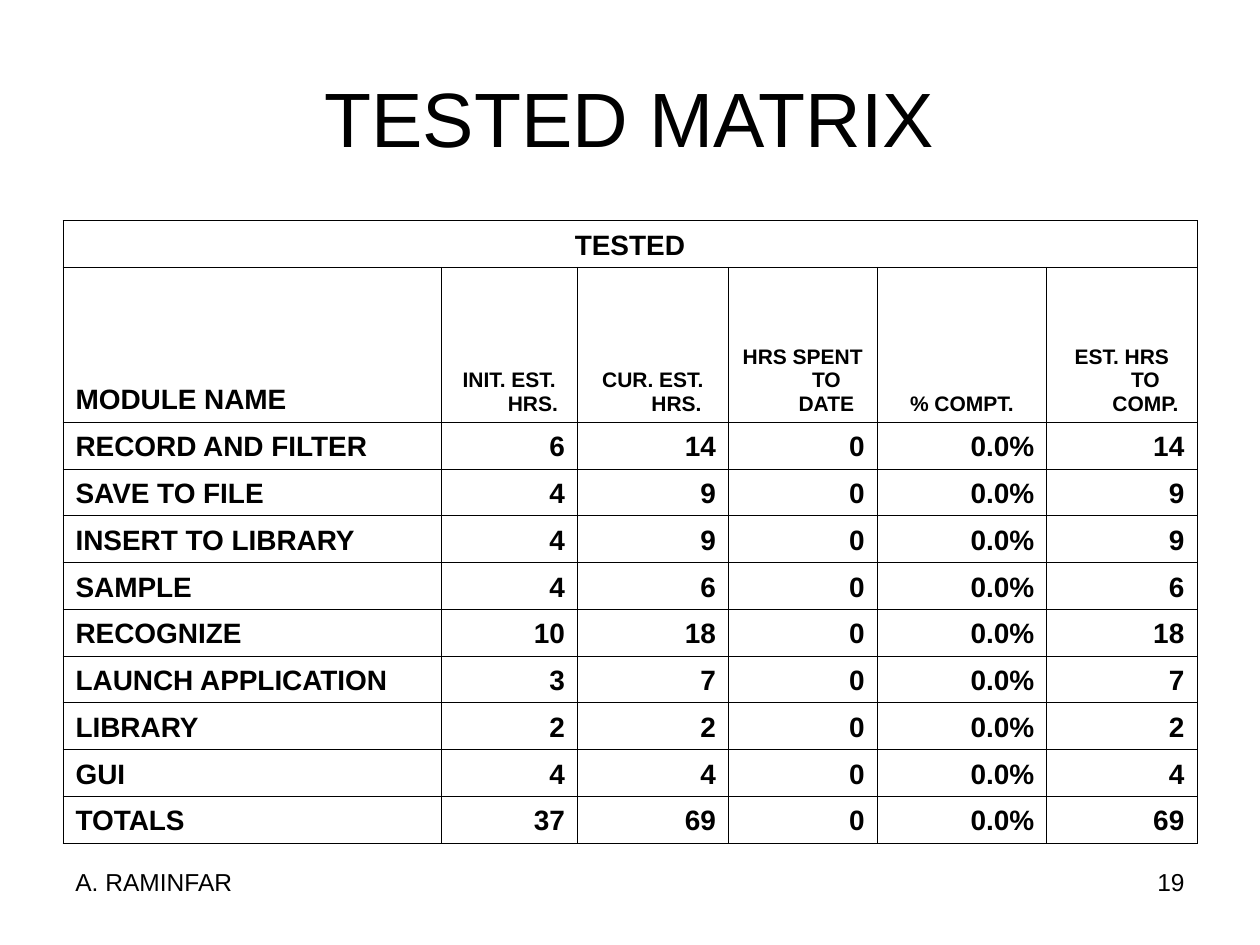
from lxml.etree import SubElement
from pptx import Presentation
from pptx.dml.color import RGBColor
from pptx.enum.text import MSO_ANCHOR, PP_ALIGN
from pptx.oxml.ns import qn
from pptx.util import Pt

BLACK = RGBColor(0, 0, 0)
FONT = "Arial"

TITLE = "TESTED MATRIX"
CAPTION = "TESTED"
HEADERS = ["MODULE NAME", "INIT. EST. HRS.", "CUR. EST. HRS.",
           "HRS SPENT TO DATE", "% COMPT.", "EST. HRS TO COMP."]
MODULES = [
    ("RECORD AND FILTER", "6", "14", "0", "0.0%", "14"),
    ("SAVE TO FILE", "4", "9", "0", "0.0%", "9"),
    ("INSERT TO LIBRARY", "4", "9", "0", "0.0%", "9"),
    ("SAMPLE", "4", "6", "0", "0.0%", "6"),
    ("RECOGNIZE", "10", "18", "0", "0.0%", "18"),
    ("LAUNCH APPLICATION", "3", "7", "0", "0.0%", "7"),
    ("LIBRARY", "2", "2", "0", "0.0%", "2"),
    ("GUI", "4", "4", "0", "0.0%", "4"),
    ("TOTALS", "37", "69", "0", "0.0%", "69"),
]
FOOTERS = [("19", 516, PP_ALIGN.RIGHT), ("A. RAMINFAR", 36, PP_ALIGN.LEFT)]

LEFT, WIDTH = 36, 648
COLUMN_WIDTHS = [216, 78, 86.25, 85, 97, 85.75]
ROW_HEIGHT, HEADER_HEIGHT = 26.75, 88.5
HANGING = 27
BORDER = 0.45


def write(frame, text, size, align, bold=False):
    frame.text = text
    para = frame.paragraphs[0]
    para.alignment = align
    font = para.runs[0].font
    font.name, font.size, font.bold = FONT, Pt(size), bold
    font.color.rgb = BLACK
    return para


def draw_borders(cell):
    properties = cell._tc.get_or_add_tcPr()
    for position, side in enumerate(("a:lnL", "a:lnR", "a:lnT", "a:lnB")):
        line = properties.makeelement(qn(side), {"w": str(Pt(BORDER))})
        fill = SubElement(line, qn("a:solidFill"))
        SubElement(fill, qn("a:srgbClr"), val=str(BLACK))
        properties.insert(position, line)


def fill_cell(cell, text, size, align):
    cell.vertical_anchor = MSO_ANCHOR.BOTTOM
    cell.margin_left = cell.margin_right = Pt(7.2)
    cell.margin_top = cell.margin_bottom = Pt(3.6)
    if text:
        para = write(cell.text_frame, text, size, align, bold=True)
        indents = para._p.get_or_add_pPr()
        indents.set("marL", str(Pt(HANGING)))
        indents.set("indent", str(-Pt(HANGING)))


def add_matrix(page):
    rows = [[CAPTION] + [""] * (len(HEADERS) - 1), HEADERS, *MODULES]
    heights = [HEADER_HEIGHT if row is HEADERS else ROW_HEIGHT for row in rows]
    table = page.shapes.add_table(len(rows), len(HEADERS), Pt(LEFT), Pt(126),
                                  Pt(WIDTH), Pt(sum(heights))).table
    table.first_row = table.horz_banding = False
    for column, width in zip(table.columns, COLUMN_WIDTHS):
        column.width = Pt(width)
    for row, height in zip(table.rows, heights):
        row.height = Pt(height)
    table.cell(0, 0).merge(table.cell(0, len(HEADERS) - 1))
    for r, row in enumerate(rows):
        for c, text in enumerate(row):
            if r == 0:
                align = PP_ALIGN.CENTER
            elif c == 0:
                align = PP_ALIGN.LEFT
            else:
                align = PP_ALIGN.CENTER if r == 1 else PP_ALIGN.RIGHT
            size = 12 if r == 1 and c > 0 else 16
            cell = table.cell(r, c)
            cell.fill.background()
            fill_cell(cell, text, size, align)
            draw_borders(cell)


def main():
    deck = Presentation()
    deck.slide_width, deck.slide_height = Pt(720), Pt(540)
    page = deck.slides.add_slide(deck.slide_layouts[5])

    title = page.shapes.title
    title.left, title.top = Pt(LEFT), Pt(21.6)
    title.width, title.height = Pt(WIDTH), Pt(90)
    title.text_frame.vertical_anchor = MSO_ANCHOR.MIDDLE
    write(title.text_frame, TITLE, 44, PP_ALIGN.CENTER)

    add_matrix(page)

    for text, left, align in FOOTERS:
        box = page.shapes.add_textbox(Pt(left), Pt(492), Pt(168), Pt(37.5))
        box.text_frame.word_wrap = True
        write(box.text_frame, text, 14, align)

    deck.save("out.pptx")


if __name__ == "__main__":
    main()
